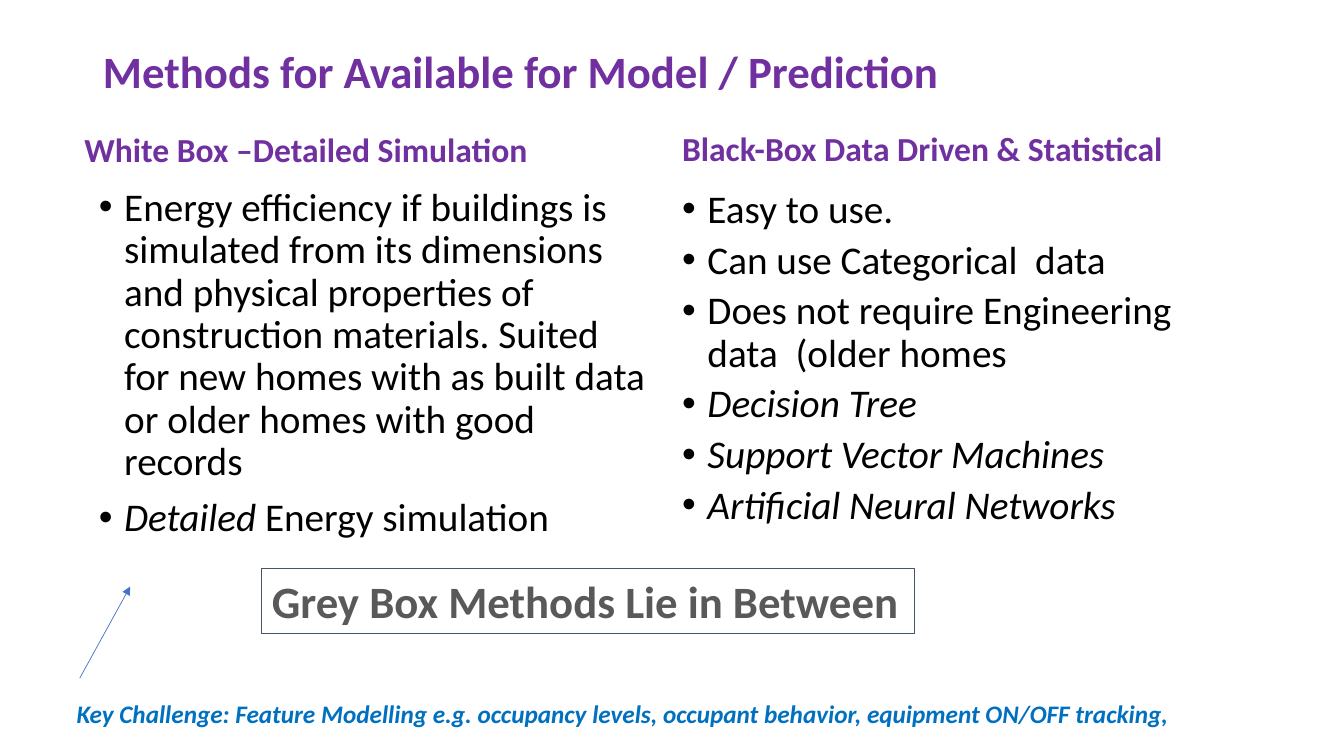
from dataclasses import dataclass

from lxml.etree import SubElement
from pptx import Presentation
from pptx.dml.color import RGBColor
from pptx.enum.shapes import MSO_CONNECTOR, MSO_SHAPE
from pptx.enum.text import MSO_ANCHOR, MSO_AUTO_SIZE, PP_ALIGN
from pptx.oxml.ns import qn
from pptx.util import Cm, Pt


@dataclass(frozen=True)
class Theme:
    font: str = "Calibri"
    purple: str = "7030A0"
    black: str = "000000"
    grey: str = "595959"
    blue: str = "0070C0"
    border: str = "44546A"
    arrow: str = "4472C4"
    title_size: int = 32
    heading_size: int = 24
    list_size: int = 28
    note_size: int = 18


THEME = Theme()
INDENT = Cm(0.64)

TITLE = {"size": THEME.title_size, "color": THEME.purple, "bold": True}
HEADING = {"size": THEME.heading_size, "color": THEME.purple, "bold": True}
LIST = {"size": THEME.list_size, "color": THEME.black}
GREY_BOX = {"size": THEME.title_size, "color": THEME.grey, "bold": True}
NOTE = {"size": THEME.note_size, "color": THEME.blue, "bold": True, "italic": True}

SIMULATION_POINTS = [
    [("Energy efficiency if buildings is simulated from its dimensions and physical "
      "properties of construction materials. Suited for new homes with as built data "
      "or older homes with good records", False)],
    [("Detailed", True), (" Energy simulation", False)],
]
STATISTICAL_POINTS = [
    [("Easy to use.", False)],
    [("Can use Categorical  data", False)],
    [("Does not require Engineering data  (older homes", False)],
    [("Decision Tree", True)],
    [("Support Vector Machines", True)],
    [("Artificial Neural Networks", True)],
]


def set_attributes(target, values):
    for name, value in values.items():
        setattr(target, name, value)


def place(shape, box):
    set_attributes(shape, dict(zip(("left", "top", "width", "height"), map(Cm, box))))


def add_run(paragraph, text, style):
    run = paragraph.add_run()
    run.text = text
    values = {"name": THEME.font, "bold": False, "italic": False} | style
    color = values.pop("color")
    values["size"] = Pt(values["size"])
    set_attributes(run.font, values)
    run.font.color.rgb = RGBColor.from_string(color)


def write_line(shape, text, style, frame_values, line_spacing=1.0):
    set_attributes(shape.text_frame, frame_values)
    paragraph = shape.text_frame.paragraphs[0]
    set_attributes(paragraph, {"alignment": PP_ALIGN.LEFT, "line_spacing": line_spacing})
    add_run(paragraph, text, style)


def add_title(slide, text, box):
    title = slide.shapes.title
    place(title, box)
    frame_values = {"vertical_anchor": MSO_ANCHOR.MIDDLE, "word_wrap": True,
                    "auto_size": MSO_AUTO_SIZE.NONE}
    write_line(title, text, TITLE, frame_values, 0.9)


def add_heading(slide, text, box):
    heading = slide.shapes.add_textbox(*map(Cm, box))
    frame_values = {"vertical_anchor": MSO_ANCHOR.BOTTOM, "word_wrap": True}
    write_line(heading, text, HEADING, frame_values, 0.9)


def add_bullet(paragraph):
    properties = paragraph._p.get_or_add_pPr()
    properties.set("marL", str(INDENT))
    properties.set("indent", str(-INDENT))
    SubElement(properties, qn("a:buFont")).set("typeface", "Arial")
    SubElement(properties, qn("a:buChar")).set("char", "•")


def add_bullet_list(slide, points, box, space_before=0, space_after=0):
    frame = slide.shapes.add_textbox(*map(Cm, box)).text_frame
    frame.word_wrap = True
    for index, runs in enumerate(points):
        paragraph = frame.add_paragraph() if index else frame.paragraphs[0]
        add_bullet(paragraph)
        set_attributes(paragraph, {
            "line_spacing": 0.9,
            "space_before": Pt(space_before if index else 0),
            "space_after": Pt(space_after),
        })
        for text, italic in runs:
            add_run(paragraph, text, LIST | {"italic": italic})


def add_framed_label(slide, text, box):
    label = slide.shapes.add_shape(MSO_SHAPE.RECTANGLE, *map(Cm, box))
    label.shadow.inherit = False
    label.fill.background()
    label.line.color.rgb = RGBColor.from_string(THEME.border)
    label.line.width = Pt(0.75)
    frame_values = {"vertical_anchor": MSO_ANCHOR.TOP, "word_wrap": False,
                    "auto_size": MSO_AUTO_SIZE.SHAPE_TO_FIT_TEXT}
    write_line(label, text, GREY_BOX, frame_values)


def add_note(slide, text, box):
    note = slide.shapes.add_textbox(*map(Cm, box))
    frame_values = {"word_wrap": False, "auto_size": MSO_AUTO_SIZE.SHAPE_TO_FIT_TEXT}
    write_line(note, text, NOTE, frame_values)


def add_arrow(slide, start, end):
    arrow = slide.shapes.add_connector(MSO_CONNECTOR.STRAIGHT, *map(Cm, start + end))
    arrow.line.color.rgb = RGBColor.from_string(THEME.arrow)
    arrow.line.width = Pt(0.5)
    SubElement(arrow.line._get_or_add_ln(), qn("a:tailEnd")).set("type", "triangle")
    SubElement(arrow._element.spPr, qn("a:effectLst"))


def main():
    presentation = Presentation()
    set_attributes(presentation, {"slide_width": Cm(33.87), "slide_height": Cm(19.05)})
    slide = presentation.slides.add_slide(presentation.slide_layouts.get_by_name("Title Only"))

    add_title(slide, "Methods for Available for Model / Prediction", (2.34, 1.02, 29.21, 1.7))
    add_heading(slide, "White Box –Detailed Simulation", (1.88, 2.95, 14.33, 1.45))
    add_bullet_list(slide, SIMULATION_POINTS, (2.24, 4.6, 14.33, 10.24), space_before=10)
    add_heading(slide, "Black-Box Data Driven & Statistical", (16.94, 2.92, 14.4, 1.45))
    add_bullet_list(slide, STATISTICAL_POINTS, (16.94, 4.65, 14.4, 10.24), space_after=6)
    add_framed_label(slide, "Grey Box Methods Lie in Between", (6.6, 14.33, 16.46, 1.63))
    add_note(slide, "Key Challenge: Feature Modelling e.g. occupancy levels, occupant behavior, "
             "equipment ON/OFF tracking,", (1.68, 17.48, 28.4, 1.02))
    add_arrow(slide, (2.01, 17.09), (3.28, 14.78))

    presentation.save("out.pptx")


if __name__ == "__main__":
    main()
